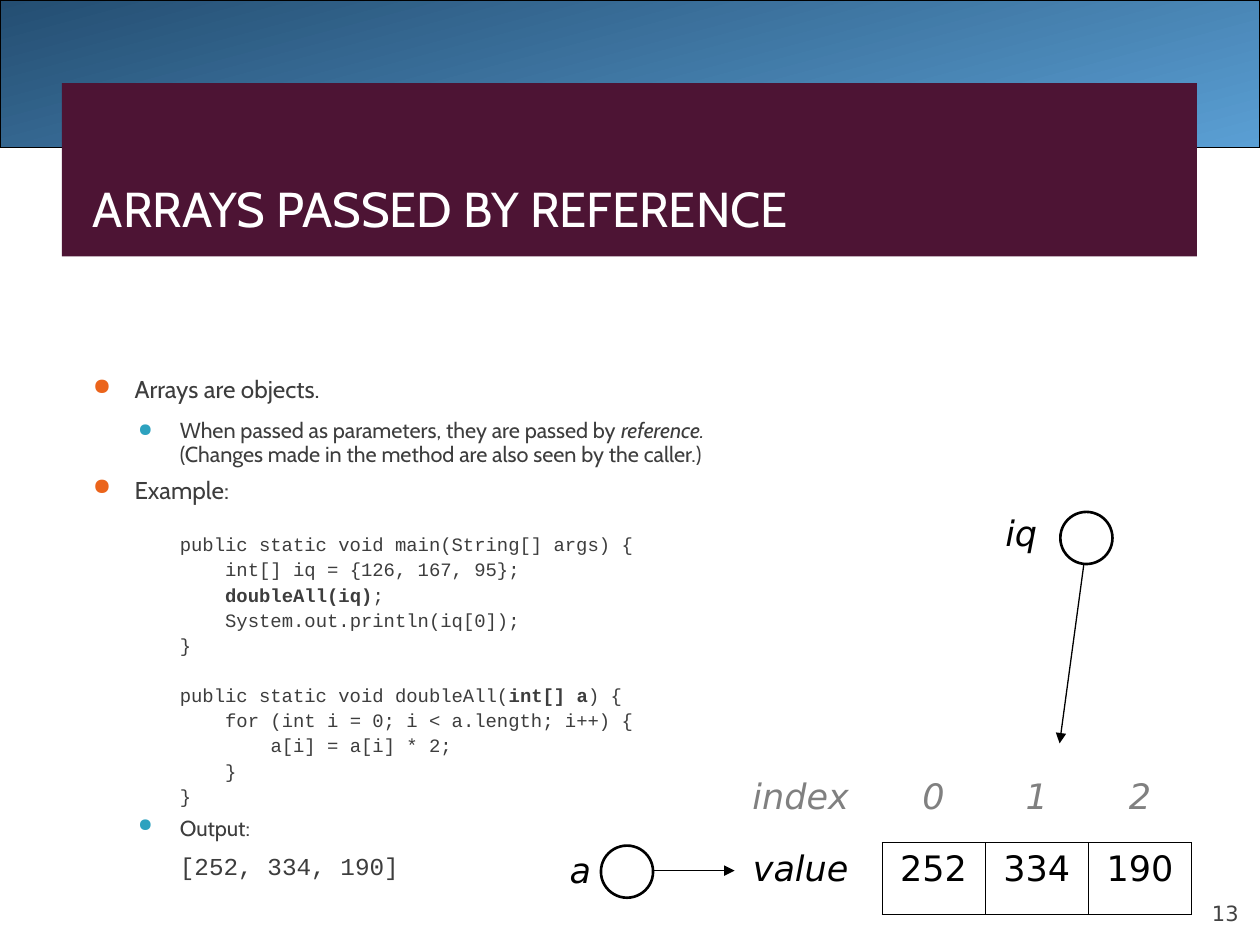
import pptx
import pptx.dml.color
import pptx.enum.shapes
import pptx.enum.text
import pptx.oxml
import pptx.oxml.ns
import pptx.util
from lxml import etree

Pt = pptx.util.Pt
ALIGN = pptx.enum.text.PP_ALIGN
ANCHOR = pptx.enum.text.MSO_ANCHOR
SHAPE = pptx.enum.shapes.MSO_SHAPE
qn = pptx.oxml.ns.qn
color = pptx.dml.color.RGBColor.from_string


def write(para, text, size=20, font="DejaVu Sans", fill="000000", bold=False,
          italic=False, align=ALIGN.LEFT):
    para.alignment = align
    span = para.add_run()
    span.text = text
    span.font.size = Pt(size)
    span.font.name = font
    span.font.color.rgb = color(fill)
    span.font.bold = bold
    span.font.italic = italic


def add_box(left, top, width, height, anchor=ANCHOR.TOP):
    box = page.shapes.add_textbox(Pt(left), Pt(top), Pt(width), Pt(height))
    box.text_frame.word_wrap = True
    box.text_frame.vertical_anchor = anchor
    return box.text_frame


deck = pptx.Presentation()
deck.slide_width, deck.slide_height = Pt(720), Pt(540)
page = deck.slides.add_slide(deck.slide_layouts[6])

# Gradient band and title panel
band = page.shapes.add_shape(SHAPE.RECTANGLE, 0, 0, Pt(720), Pt(84.24))
band.shadow.inherit = False
band.fill.gradient()
band.fill.gradient_angle = 285
for stop, (position, shade) in zip(band.fill.gradient_stops, [(0, "244E72"), (1, "5A9FD4")]):
    stop.position = position
    stop.color.rgb = color(shade)
band.line.color.rgb = color("000000")
band.line.width = Pt(0.75)

panel = page.shapes.add_shape(SHAPE.RECTANGLE, Pt(35.3), Pt(47.5), Pt(648.7), Pt(99))
panel.shadow.inherit = False
panel.fill.solid()
panel.fill.fore_color.rgb = color("4D1434")
panel.line.fill.background()

title = add_box(46, 54, 629.3, 85, ANCHOR.BOTTOM)
write(title.paragraphs[0], "ARRAYS PASSED BY REFERENCE", size=28, font="Cabin", fill="FFFFFF")

# Slide number
number = add_box(648, 500.4, 59.8, 28.8, ANCHOR.BOTTOM)
number.margin_left = number.margin_right = number.margin_top = number.margin_bottom = 0
write(number.paragraphs[0], "13", size=12, fill="424242", align=ALIGN.RIGHT)

# Body: kind, nesting depth, space before, spans of (text, style)
ITALIC, BOLD = {"italic": True}, {"bold": True}
KINDS = {  # margin, font, size, line spacing, bullet colour, bullet percent
    "main": (23.8, "Cabin", 13.9, 0.6, "EB641B", 95),
    "sub": (49.7, "Cabin", 12.4, 0.6, "2DA2BF", 85),
    "code": (49.7, "Courier New", 10.8, 0.65, None, None),
    "result": (49.7, "Courier New", 13.9, 0.75, None, None),
}
lines = [
    ("main", 0, 0, [("Arrays are objects.", {})]),
    ("sub", 0, 4, [("When passed as parameters, they are passed by ", {}),
                   ("reference.", ITALIC), None,
                   ("(Changes made in the method are also seen by the caller.)", {})]),
    ("main", 0, 4.5, [("Example:", {})]),
    ("code", 0, 15, [("public static void main(String[] args) {", {})]),
    ("code", 1, 0, [("int[] iq = {126, 167, 95};", {})]),
    ("code", 1, 0, [("doubleAll(iq)", BOLD), (";", {})]),
    ("code", 1, 0, [("System.out.println(iq[0]);", {})]),
    ("code", 0, 0, [("}", {})]),
    ("code", 0, 14, [("public static void doubleAll(", {}), ("int[] a", BOLD), (") {", {})]),
    ("code", 1, 0, [("for (int i = 0; i < a.length; i++) {", {})]),
    ("code", 2, 0, [("a[i] = a[i] * 2;", {})]),
    ("code", 1, 0, [("}", {})]),
    ("code", 0, 0, [("}", {})]),
    ("sub", 0, 4, [("Output:", {})]),
    ("result", 0, 4.5, [("[252, 334, 190]", {})]),
]
body = add_box(46, 218.5, 629.3, 285.8)
body.margin_top = body.margin_bottom = 0
for index, (kind, depth, before, spans) in enumerate(lines):
    margin, font, size, spacing, bullet, percent = KINDS[kind]
    para = body.paragraphs[0] if index == 0 else body.add_paragraph()
    para.level = 0 if kind == "main" else 1
    para.space_before, para.space_after = Pt(before), Pt(6)
    para.line_spacing = {0: 0.7, 1: 0.9}.get(index, spacing)
    for span in spans:
        if span is None:
            para.add_line_break()
        else:
            write(para, span[0], size=size, font=font, fill="3D3D3D", **span[1])
    properties = para._p.get_or_add_pPr()
    properties.set("marL", str(Pt(margin + 25.9 * depth)))
    properties.set("indent", str(Pt(-23.8) if bullet else 0))
    if bullet:
        shade = etree.SubElement(properties, qn("a:buClr"))
        etree.SubElement(shade, qn("a:srgbClr"), val=bullet)
        etree.SubElement(properties, qn("a:buSzPct"), val=str(percent * 1000))
        etree.SubElement(properties, qn("a:buChar"), char="●")

# Array table
values = [["index", "0", "1", "2"], ["value", "252", "334", "190"]]
frame = page.shapes.add_table(2, 4, Pt(411.1), Pt(440.6), Pt(270), Pt(82))
table = frame.table
table.first_row = table.horz_banding = False
for column, width in zip(table.columns, [92.9, 59, 59, 59]):
    column.width = Pt(width)
for row_index, row in enumerate(values):
    table.rows[row_index].height = Pt(41)
    for column_index, text in enumerate(row):
        cell = table.cell(row_index, column_index)
        boxed = row_index == 1 and column_index > 0
        write(cell.text_frame.paragraphs[0], text, align=ALIGN.CENTER, italic=not boxed,
              fill="000000" if row_index else "808080")
        if boxed:
            cell.fill.solid()
            cell.fill.fore_color.rgb = color("FFFFFF")
        else:
            cell.fill.background()
        drawn = {"L": boxed, "R": row_index == 1, "T": boxed, "B": column_index > 0}
        properties = cell._tc.get_or_add_tcPr()
        for place, (side, visible) in enumerate(drawn.items()):
            border = etree.Element(qn("a:ln" + side), w=str(Pt(0.5)))
            if visible:
                solid = etree.SubElement(border, qn("a:solidFill"))
                etree.SubElement(solid, qn("a:srgbClr"), val="000000")
            else:
                etree.SubElement(border, qn("a:noFill"))
            properties.insert(place, border)

# References: name, label box, arrow ends, circle corner
references = [
    ("iq", (527.8, 288.5, 72, 34.6), (621.4, 307.4, 605.5, 424.8), (605.9, 292.5)),
    ("a", (264.2, 481.5, 80.6, 34.6), (365.8, 497.5, 419.8, 497.5), (343.4, 483.2)),
]
for name, label, ends, corner in references:
    write(add_box(*label).paragraphs[0], name, italic=True, align=ALIGN.RIGHT)
    arrow = page.shapes.add_connector(
        pptx.enum.shapes.MSO_CONNECTOR.STRAIGHT, *[Pt(value) for value in ends])
    arrow.line.color.rgb = color("000000")
    arrow.line.width = Pt(0.75)
    etree.SubElement(arrow.line._get_or_add_ln(), qn("a:tailEnd"), type="triangle")
    etree.SubElement(arrow._element.spPr, qn("a:effectLst"))
    circle = page.shapes.add_shape(
        SHAPE.OVAL, Pt(corner[0]), Pt(corner[1]), Pt(29.8), Pt(29.8))
    circle.shadow.inherit = False
    circle.fill.solid()
    circle.fill.fore_color.rgb = color("FFFFFF")
    circle.line.color.rgb = color("000000")
    circle.line.width = Pt(1.5)

deck.save("out.pptx")
